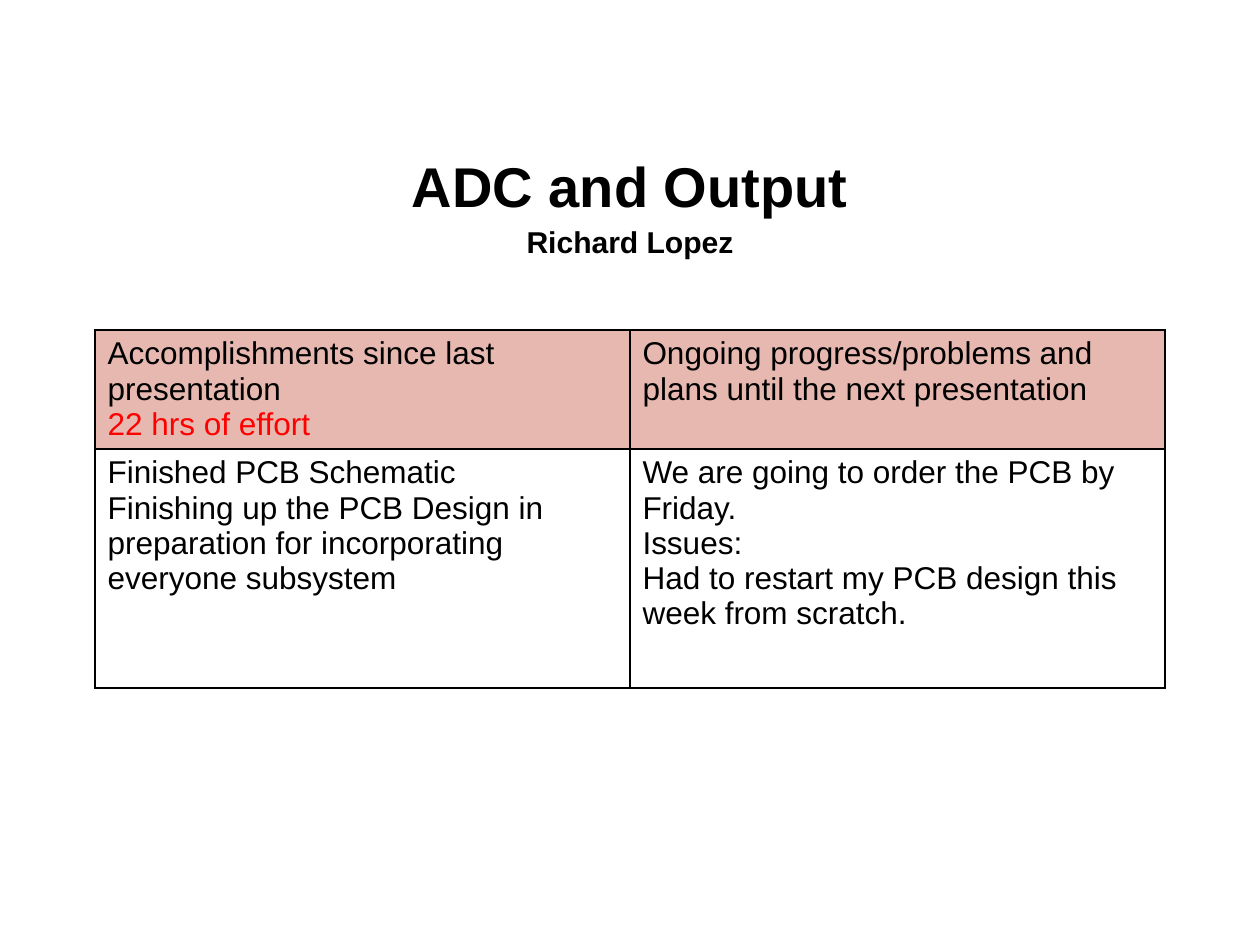
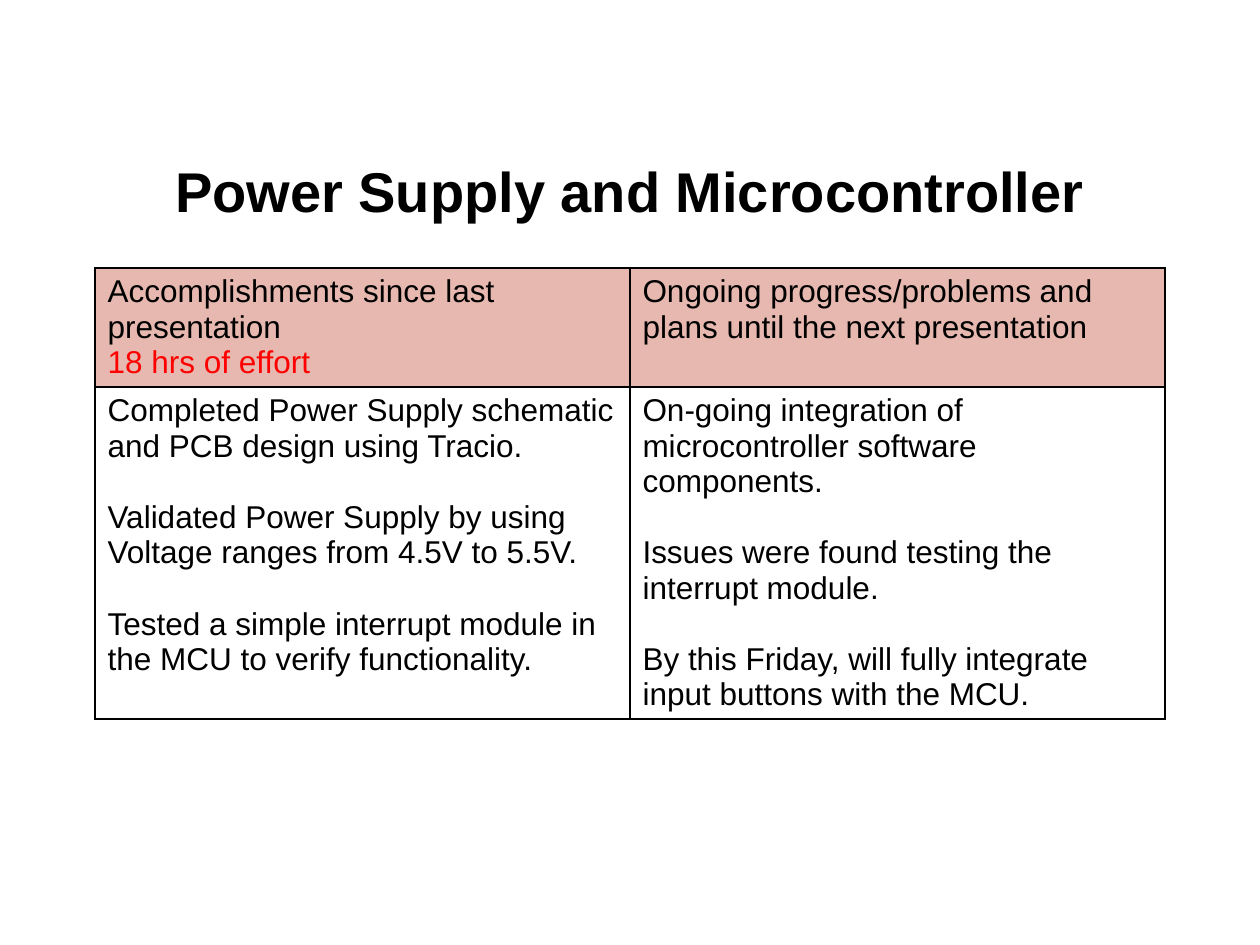
from lxml.etree import SubElement
from pptx import Presentation
from pptx.dml.color import RGBColor
from pptx.enum.text import MSO_ANCHOR, MSO_AUTO_SIZE, PP_ALIGN
from pptx.oxml.ns import qn
from pptx.util import Emu, Pt

BLACK = RGBColor(0x00, 0x00, 0x00)
RED = RGBColor(0xFF, 0x00, 0x00)
PINK = RGBColor(0xE6, 0xB8, 0xAF)
WHITE = RGBColor(0xFF, 0xFF, 0xFF)
FONT = "Arial"
PX_PER_INCH = 126
TITLE_LEFT, TITLE_WIDTH = 63, 1134
TABLE_LEFT, COLUMN_WIDTH, HEADER_HEIGHT = 95, 535, 119
BLANK_LINE = 20.7
DONE_HEADING = "Accomplishments since last presentation"
PLANS_HEADING = "Ongoing progress/problems and plans until the next presentation"


def px(length):
    """Turn a length in px into EMU."""
    return Emu(round(length * 914400 / PX_PER_INCH))


def write_text(para, text, size=18, color=BLACK, bold=False, align=PP_ALIGN.LEFT,
               line_spacing=1.0, space_before=0):
    """Put one formatted run into a paragraph."""
    para.alignment = align
    para.line_spacing = line_spacing
    para.space_before = Pt(space_before)
    span = para.add_run()
    span.text = text
    span.font.name = FONT
    span.font.size = Pt(size)
    span.font.bold = bold
    span.font.color.rgb = color


def paragraphs(frame, count):
    """Return the given number of paragraphs of an empty text frame."""
    return [frame.paragraphs[0]] + [frame.add_paragraph() for _ in range(count - 1)]


def add_title(page, lines, top, height):
    """Place the title and fill it with (text, size) lines."""
    box = page.shapes.title
    box.left, box.top = px(TITLE_LEFT), px(top)
    box.width, box.height = px(TITLE_WIDTH), px(height)
    frame = box.text_frame
    frame.word_wrap = True
    frame.auto_size = MSO_AUTO_SIZE.NONE
    frame.vertical_anchor = MSO_ANCHOR.MIDDLE
    for para, (text, size) in zip(paragraphs(frame, len(lines)), lines):
        write_text(para, text, size=size, bold=True, align=PP_ALIGN.CENTER,
                   line_spacing=1.15)


def draw_borders(cell):
    """Give a cell a thin black line on every side."""
    properties = cell._tc.get_or_add_tcPr()
    for index, side in enumerate(("a:lnL", "a:lnR", "a:lnT", "a:lnB")):
        line = properties.makeelement(qn(side), {"w": str(Pt(1))})
        fill = SubElement(line, qn("a:solidFill"))
        SubElement(fill, qn("a:srgbClr"), val=str(BLACK))
        properties.insert(index, line)


def fill_cell(cell, lines, fill, gap=0, last_color=BLACK):
    """Write the lines of a cell, with a gap between them, and style it."""
    for index, (para, text) in enumerate(zip(paragraphs(cell.text_frame, len(lines)), lines)):
        color = last_color if index == len(lines) - 1 else BLACK
        write_text(para, text, color=color, space_before=gap if index else 0)
    cell.fill.solid()
    cell.fill.fore_color.rgb = fill
    draw_borders(cell)


def add_progress_table(page, top, body_height, hours, done, plans, gap=0):
    """Add the table of accomplishments and plans."""
    heights = (HEADER_HEIGHT, body_height)
    table = page.shapes.add_table(2, 2, px(TABLE_LEFT), px(top), px(2 * COLUMN_WIDTH),
                                  px(sum(heights))).table
    table.first_row = table.horz_banding = False
    for column in table.columns:
        column.width = px(COLUMN_WIDTH)
    for row, height in zip(table.rows, heights):
        row.height = px(height)
    fill_cell(table.cell(0, 0), [DONE_HEADING, f"{hours} hrs of effort"], PINK, last_color=RED)
    fill_cell(table.cell(0, 1), [PLANS_HEADING], PINK)
    for column, lines in enumerate((done, plans)):
        fill_cell(table.cell(1, column), lines, WHITE, gap=gap)


def main():
    """Build and save the deck."""
    deck = Presentation()
    deck.slide_width, deck.slide_height = px(1260), px(945)
    layout = deck.slide_layouts[5]

    page = deck.slides.add_slide(layout)
    add_title(page, [("ADC and Output", 32), ("Richard Lopez", 17.2)], top=145, height=111)
    add_progress_table(
        page, top=330, body_height=239, hours=22,
        done=["Finished PCB Schematic",
              "Finishing up the PCB Design in preparation for incorporating everyone subsystem"],
        plans=["We are going to order the PCB by Friday.",
               "Issues:",
               "Had to restart my PCB design this week from scratch."])

    page = deck.slides.add_slide(layout)
    add_title(page, [("Power Supply and Microcontroller", 32)], top=116, height=139)
    add_progress_table(
        page, top=268, body_height=330, hours=18, gap=BLANK_LINE,
        done=["Completed Power Supply schematic and PCB design using Tracio.",
              "Validated Power Supply by using Voltage ranges from 4.5V to 5.5V.",
              "Tested a simple interrupt module in the MCU to verify functionality."],
        plans=["On-going integration of microcontroller software components.",
               "Issues were found testing the interrupt module.",
               "By this Friday, will fully integrate input buttons with the MCU."])

    deck.save("out.pptx")


if __name__ == "__main__":
    main()
